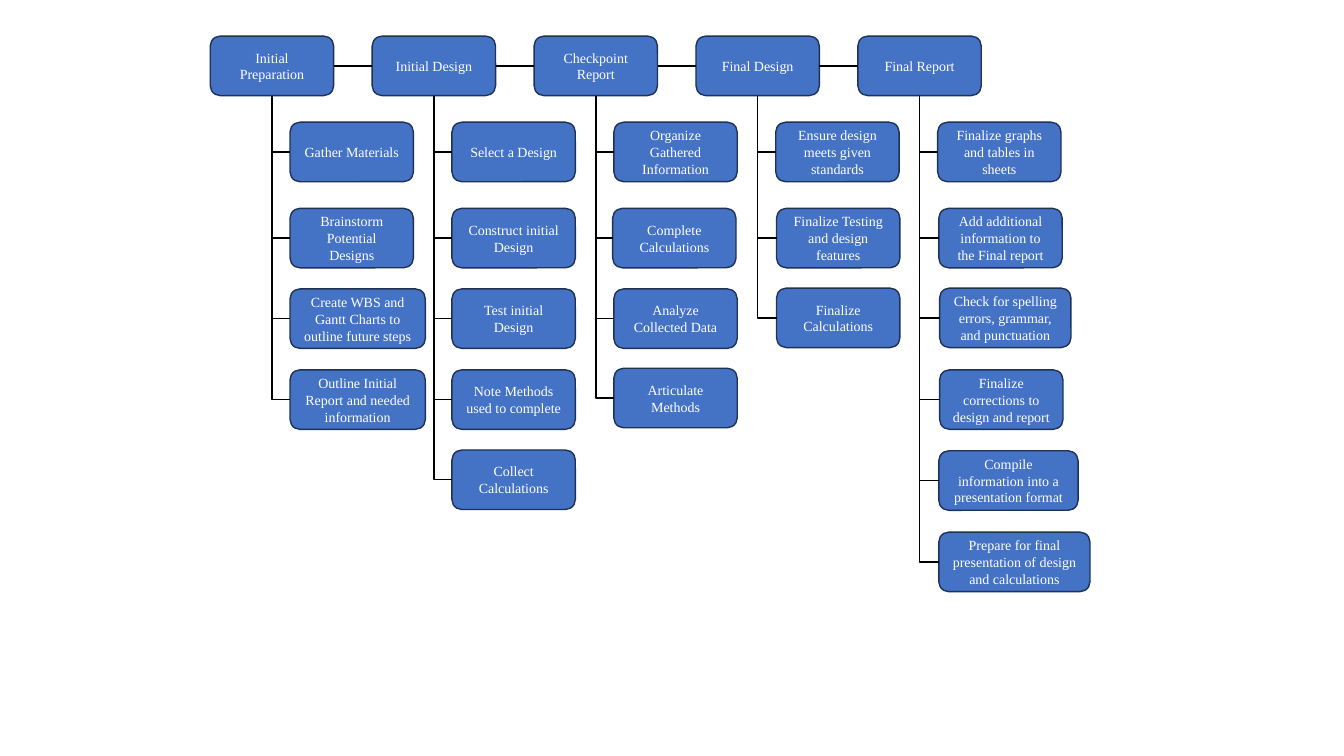
from dataclasses import dataclass
from itertools import pairwise

from pptx import Presentation
from pptx.dml.color import RGBColor
from pptx.enum import shapes, text
from pptx.oxml.ns import qn
from pptx.shapes.autoshape import Shape
from pptx.shapes.connector import Connector
from pptx.slide import Slide
from pptx.util import Cm, Pt

COLORS = {"box": "4472C4", "edge": "1E3256", "link": "000000", "text": "FFFFFF"}
FONT = "Times New Roman"
LEFT, TOP, PITCH = 5.3, 0.91, 4.08
WIDTH, HEIGHT = 3.11, 1.5
INDENT = 2.01
ROWS = [3.08, 5.25, 7.28, 9.32, 11.34, 13.41]
BOTTOM_SITE, LEFT_SITE, RIGHT_SITE = 2, 1, 3


@dataclass
class Task:
    """A step below a phase; dx and dy shift it off the grid, in cm."""
    label: str
    width: float = WIDTH
    dx: float = 0
    dy: float = 0


@dataclass
class Phase:
    label: str
    tasks: list[Task]


PHASES = [
    Phase("Initial Preparation", [
        Task("Gather Materials"),
        Task("Brainstorm Potential Designs"),
        Task("Create WBS and Gantt Charts to outline future steps", 3.41),
        Task("Outline Initial Report and needed information", 3.41),
    ]),
    Phase("Initial Design", [
        Task("Select a Design"),
        Task("Construct initial Design"),
        Task("Test initial Design"),
        Task("Note Methods used to complete"),
        Task("Collect Calculations"),
    ]),
    Phase("Checkpoint Report", [
        Task("Organize Gathered Information"),
        Task("Complete Calculations", dx=-0.03),
        Task("Analyze Collected Data"),
        Task("Articulate Methods", dy=-0.04),
    ]),
    Phase("Final Design", [
        Task("Ensure design meets given standards"),
        Task("Finalize Testing and design features", dx=0.02),
        Task("Finalize Calculations", dx=0.02, dy=-0.02),
    ]),
    Phase("Final Report", [
        Task("Finalize graphs and tables in sheets"),
        Task("Add additional information to the Final report", dx=0.03),
        Task("Check for spelling errors, grammar, and punctuation", 3.31, 0.05, -0.02),
        Task("Finalize corrections to design and report", dx=0.05),
        Task("Compile information into a presentation format", 3.51, 0.03, 0.02),
        Task("Prepare for final presentation of design and calculations", 3.81, 0.03),
    ]),
]


def color(name: str) -> RGBColor:
    return RGBColor.from_string(COLORS[name])


def add_box(slide: Slide, label: str, left: float, top: float,
            width: float = WIDTH) -> Shape:
    box = slide.shapes.add_shape(shapes.MSO_SHAPE.ROUNDED_RECTANGLE,
                                 Cm(left), Cm(top), Cm(width), Cm(HEIGHT))
    box.shadow.inherit = False
    box.fill.solid()
    box.fill.fore_color.rgb = color("box")
    box.line.color.rgb = color("edge")
    box.line.width = Pt(1)
    frame = box.text_frame
    frame.text = label
    frame.word_wrap = True
    frame.vertical_anchor = text.MSO_ANCHOR.MIDDLE
    line = frame.paragraphs[0]
    line.alignment = text.PP_ALIGN.CENTER
    font = line.runs[0].font
    font.name, font.size = FONT, Pt(10)
    font.color.rgb = color("text")
    return box


def add_link(slide: Slide, kind: shapes.MSO_CONNECTOR, start: Shape, site: int,
             end: Shape) -> Connector:
    """Join a site of one box to the left side of another."""
    link = slide.shapes.add_connector(kind, 0, 0, 0, 0)
    link.begin_connect(start, site)
    link.end_connect(end, LEFT_SITE)
    link.line.color.rgb = color("link")
    link.line.width = Pt(1)
    props = link._element.spPr
    props.append(props.makeelement(qn("a:effectLst"), {}))
    return link


def add_branch(slide: Slide, head: Shape, box: Shape) -> None:
    """Run down from the head, then right to the box, with one bend."""
    link = add_link(slide, shapes.MSO_CONNECTOR.ELBOW, head, BOTTOM_SITE, box)
    across, down = link.width, link.height
    shift = (across - down) // 2
    link.left, link.top = link.left + shift, link.top - shift
    link.width, link.height = down, across
    props = link._element.spPr
    frame = props.find(qn("a:xfrm"))
    frame.set("rot", str(270 * 60000))
    frame.set("flipH", "1")
    props.find(qn("a:prstGeom")).set("prst", "bentConnector2")


def main() -> None:
    deck = Presentation()
    deck.slide_width, deck.slide_height = Cm(33.87), Cm(19.05)
    slide = deck.slides.add_slide(deck.slide_layouts[6])

    heads = []
    for col, phase in enumerate(PHASES):
        left = LEFT + col * PITCH
        head = add_box(slide, phase.label, left, TOP)
        heads.append(head)
        for task, top in zip(phase.tasks, ROWS):
            box = add_box(slide, task.label, left + INDENT + task.dx,
                          top + task.dy, task.width)
            add_branch(slide, head, box)

    for start, end in pairwise(heads):
        add_link(slide, shapes.MSO_CONNECTOR.STRAIGHT, start, RIGHT_SITE, end)

    deck.save("out.pptx")


if __name__ == "__main__":
    main()
